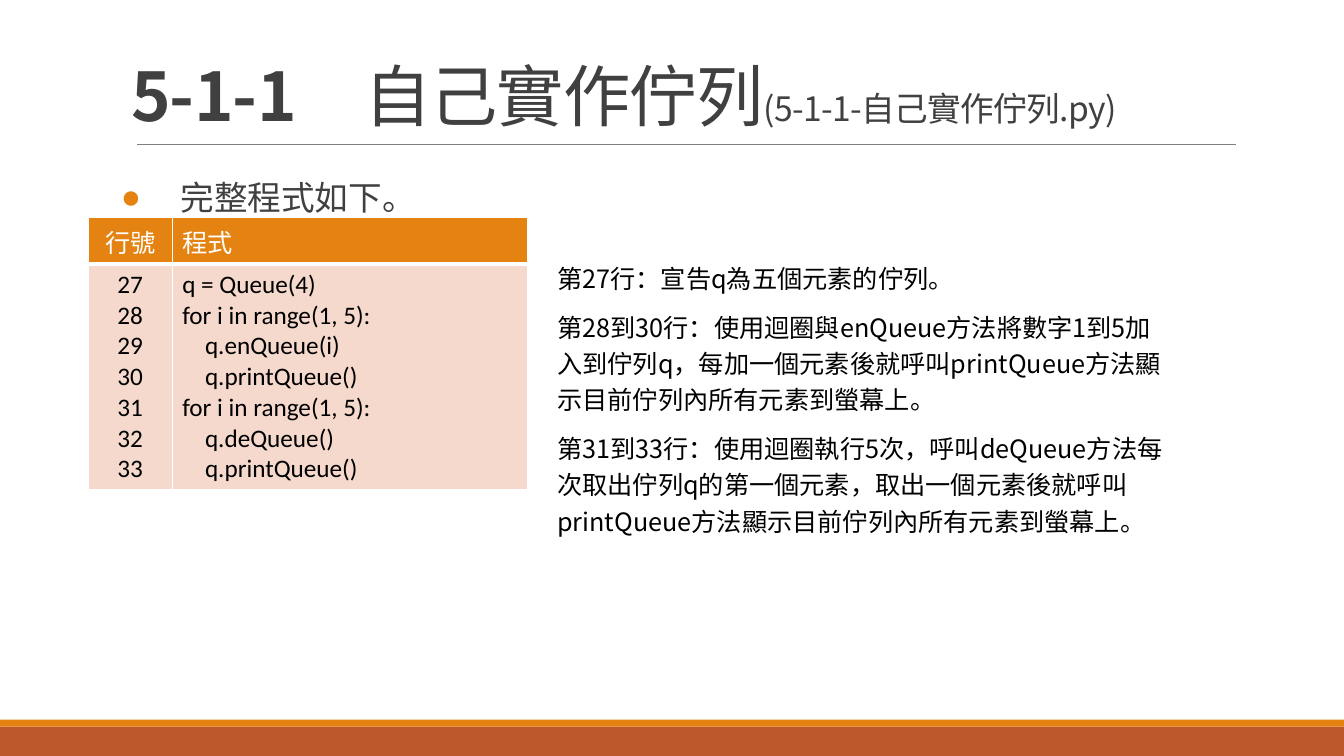
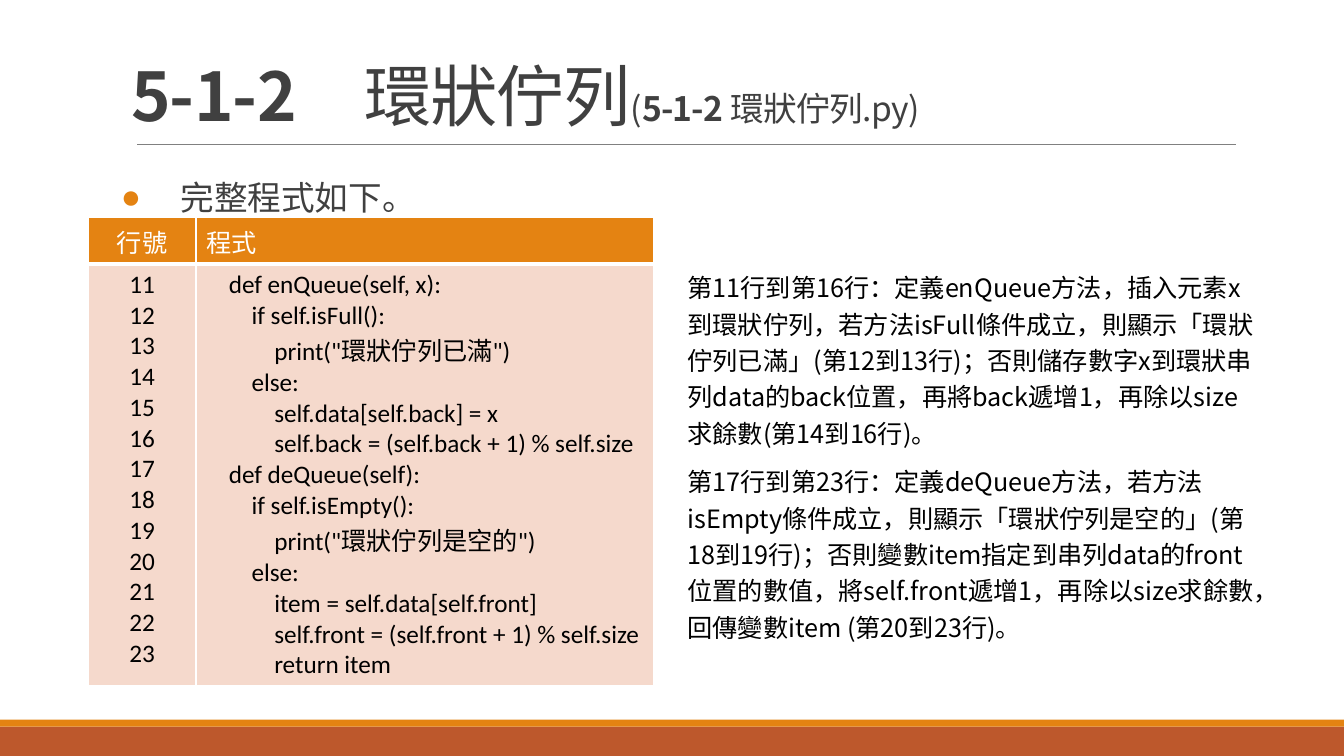
"""Build two slides that walk through queue programs line by line."""
import pptx
import pptx.chart.data
import pptx.dml.color
import pptx.enum.shapes
import pptx.enum.text
import pptx.oxml
import pptx.oxml.ns
import pptx.util

Pt = pptx.util.Pt
ALIGN = pptx.enum.text.PP_ALIGN
FIT = pptx.enum.text.MSO_AUTO_SIZE
NOTO = "Noto Sans CJK SC"
ORANGE, RUST, PINK = "E48312", "BD582C", "F5D9CC"
WHITE, BLACK, DARK, GRAY = "FFFFFF", "000000", "404040", "808080"
NS = pptx.oxml.ns.nsdecls("a")


def rgb(value):
    return pptx.dml.color.RGBColor.from_string(value)


def write(paragraph, text, size=18, color=BLACK, bold=False, font=NOTO, spacing=0,
          align=ALIGN.LEFT, line=1.0, before=0, after=0):
    paragraph.alignment = align
    paragraph.line_spacing = line
    paragraph.space_before, paragraph.space_after = Pt(before), Pt(after)
    run = paragraph.add_run()
    run.text = text
    run.font.size, run.font.bold, run.font.name = Pt(size), bold, font
    run.font.color.rgb = rgb(color)
    properties = run._r.get_or_add_rPr()
    properties.append(pptx.oxml.parse_xml(f'<a:ea {NS} typeface="{NOTO}"/>'))
    if spacing:
        properties.set("spc", str(int(spacing * 100)))


lessons = [
    {
        "title": [("5-1-1\u3000".replace("\u3000", "　"), 48, True), ("自己實作佇列", 48, False),
                  ("(5-1-1-自己實作佇列.py)", 24, False)],
        "first_line": 27,
        "code": """q = Queue(4)
for i in range(1, 5):
    q.enQueue(i)
    q.printQueue()
for i in range(1, 5):
    q.deQueue()
    q.printQueue()""",
        "columns": (60, 254),
        "code_height": 160,
        "notes_box": (391, 180, 455, 209),
        "notes": [
            "第27行：宣告q為五個元素的佇列。",
            "第28到30行：使用迴圈與enQueue方法將數字1到5加入到佇列q，每加一個元素後就呼叫"
            "printQueue方法顯示目前佇列內所有元素到螢幕上。",
            "第31到33行：使用迴圈執行5次，呼叫deQueue方法每次取出佇列q的第一個元素，"
            "取出一個元素後就呼叫printQueue方法顯示目前佇列內所有元素到螢幕上。",
        ],
    },
    {
        "title": [("5-1-2　", 48, True), ("環狀佇列", 48, False), ("(", 24, False),
                  ("5-1-2 ", 24, True), ("環狀佇列.py)", 24, False)],
        "first_line": 11,
        "code": """    def enQueue(self, x):
        if self.isFull():
            print("環狀佇列已滿")
        else:
            self.data[self.back] = x
            self.back = (self.back + 1) % self.size
    def deQueue(self):
        if self.isEmpty():
            print("環狀佇列是空的")
        else:
            item = self.data[self.front]
            self.front = (self.front + 1) % self.size
            return item""",
        "columns": (77, 327),
        "code_height": 300,
        "notes_box": (484, 187, 422, 278),
        "notes": [
            "第11行到第16行：定義enQueue方法，插入元素x到環狀佇列，若方法isFull條件成立，"
            "則顯示「環狀佇列已滿」(第12到13行)；否則儲存數字x到環狀串列data的back位置，"
            "再將back遞增1，再除以size求餘數(第14到16行)。",
            "第17行到第23行：定義deQueue方法，若方法isEmpty條件成立，則顯示「環狀佇列是空的」"
            "(第18到19行)；否則變數item指定到串列data的front位置的數值，將self.front遞增1，"
            "再除以size求餘數，回傳變數item (第20到23行)。",
        ],
    },
]

deck = pptx.Presentation()
deck.slide_width, deck.slide_height = Pt(960), Pt(540)
layout = deck.slide_layouts[1]
for index, area in ((0, (86.4, 22.3, 792, 77.8)), (1, (86.4, 108, 792, 388))):
    holder = layout.placeholders[index]
    holder.left, holder.top, holder.width, holder.height = map(Pt, area)

for number, lesson in enumerate(lessons):
    slide = deck.slides.add_slide(layout)

    if number == 0:
        decor = []
        for top, height, color in ((519, 21, RUST), (514, 5, ORANGE)):
            band = slide.shapes.add_shape(pptx.enum.shapes.MSO_SHAPE.RECTANGLE,
                                          Pt(0), Pt(top), Pt(960), Pt(height))
            band.shadow.inherit = False
            band.fill.solid()
            band.fill.fore_color.rgb = rgb(color)
            band.line.fill.background()
            decor.append(band)
        rule = slide.shapes.add_connector(pptx.enum.shapes.MSO_CONNECTOR.STRAIGHT,
                                          Pt(98), Pt(103), Pt(883), Pt(103))
        rule.line.color.rgb = rgb(GRAY)
        rule.line.width = Pt(0.5)
        rule._element.spPr.append(pptx.oxml.parse_xml(f"<a:effectLst {NS}/>"))
        decor.append(rule)
        for position, part in enumerate(decor, start=2):
            layout.shapes.element.insert(position, part.element)

    heading = slide.shapes.title.text_frame
    heading.auto_size = FIT.NONE
    heading.vertical_anchor = pptx.enum.text.MSO_ANCHOR.BOTTOM
    for text, size, bold in lesson["title"]:
        write(heading.paragraphs[0], text, size=size, bold=bold, color=DARK,
              spacing=-0.5, line=0.85)

    intro = slide.placeholders[1].text_frame
    intro.auto_size = FIT.NONE
    intro.margin_left = intro.margin_right = 0
    bullet = intro.paragraphs[0]
    bullet_format = bullet._p.get_or_add_pPr()
    bullet_format.set("marL", str(Pt(42.5)))
    bullet_format.set("indent", str(-Pt(42.5)))
    for mark in (f'<a:buClr {NS}><a:srgbClr val="{ORANGE}"/></a:buClr>',
                 f'<a:buChar {NS} char="●"/>'):
        bullet_format.append(pptx.oxml.parse_xml(mark))
    write(bullet, "完整程式如下。", size=24, color=DARK, line=1.5, after=3)

    code_lines = lesson["code"].split("\n")
    first = lesson["first_line"]
    line_numbers = [str(first + offset) for offset in range(len(code_lines))]
    heights = (33, lesson["code_height"])
    listing = slide.shapes.add_table(2, 2, Pt(63), Pt(155.5), Pt(sum(lesson["columns"])),
                                     Pt(sum(heights))).table
    listing.horz_banding = False
    for column, width in zip(listing.columns, lesson["columns"]):
        column.width = Pt(width)
    rows = ((["行號"], ["程式"]), (line_numbers, code_lines))
    row_styles = ((ORANGE, WHITE, 3), (PINK, BLACK, 1))
    for row, (contents, (fill, ink, bottom)) in enumerate(zip(rows, row_styles)):
        listing.rows[row].height = Pt(heights[row])
        for column, lines in enumerate(contents):
            cell = listing.cell(row, column)
            cell.fill.solid()
            cell.fill.fore_color.rgb = rgb(fill)
            edges = (("lnL", 1), ("lnR", 1), ("lnT", 1 if row == 0 else 3), ("lnB", bottom))
            for place, (edge, weight) in enumerate(edges):
                cell._tc.tcPr.insert(place, pptx.oxml.parse_xml(
                    f'<a:{edge} {NS} w="{Pt(weight)}"><a:solidFill>'
                    f'<a:srgbClr val="{WHITE}"/></a:solidFill></a:{edge}>'))
            for order, text in enumerate(lines):
                frame = cell.text_frame
                paragraph = frame.add_paragraph() if order else frame.paragraphs[0]
                write(paragraph, text, color=ink, font="Calibri",
                      align=ALIGN.LEFT if column else ALIGN.CENTER)

    notes = slide.shapes.add_textbox(*map(Pt, lesson["notes_box"])).text_frame
    notes.word_wrap = True
    notes.auto_size = FIT.SHAPE_TO_FIT_TEXT
    for order, text in enumerate(lesson["notes"]):
        paragraph = notes.add_paragraph() if order else notes.paragraphs[0]
        write(paragraph, text, line=1.2, before=6 if order else 0, after=3)

deck.save("out.pptx")
